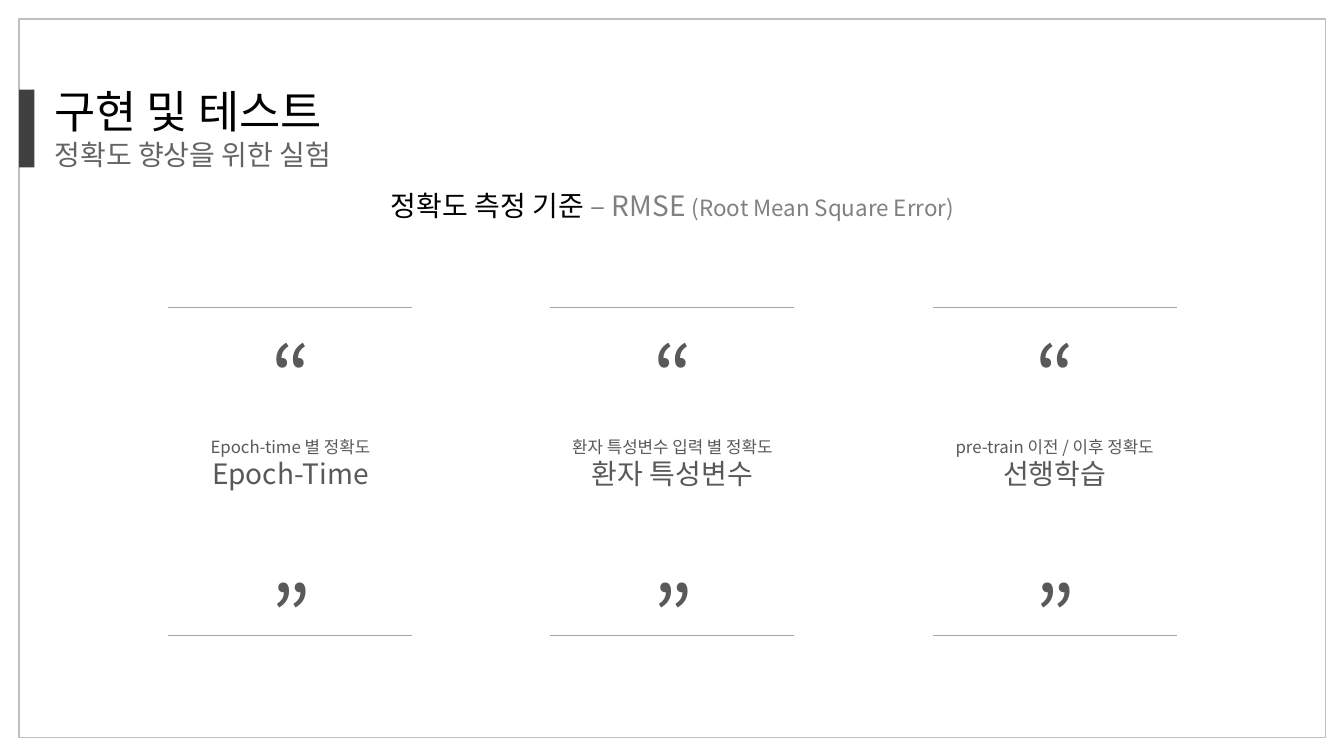
from pptx import Presentation
from pptx.dml.color import RGBColor
from pptx.enum.shapes import MSO_CONNECTOR, MSO_SHAPE
from pptx.enum.text import MSO_ANCHOR, MSO_AUTO_SIZE, PP_ALIGN
from pptx.oxml import parse_xml
from pptx.oxml.ns import nsdecls
from pptx.util import Inches, Pt
from lxml.etree import SubElement
from pptx.oxml.ns import qn

FONT = "Noto Sans CJK KR"
GREY = "595959"
CARDS = [
    ("Epoch-time 별 정확도", "Epoch-Time"),
    ("환자 특성변수 입력 별 정확도", "환자 특성변수"),
    ("pre-train 이전 / 이후 정확도", "선행학습"),
]


def color(code):
    return RGBColor.from_string(code)


def style(run, size, code, edge=None, alpha=30):
    """Set font and colour, with an optional sheer outline."""
    font = run.font
    font.size = Pt(size)
    font.name = FONT
    font.color.rgb = color(code)
    props = font._element
    SubElement(props, qn("a:ea")).set("typeface", FONT)
    if edge:
        props.insert(0, parse_xml(
            f'<a:ln {nsdecls("a")} w="9525"><a:solidFill><a:srgbClr val="{edge}">'
            f'<a:alpha val="{alpha * 1000}"/></a:srgbClr></a:solidFill></a:ln>'))


def place(shape, left, top, width, height):
    shape.left, shape.top = Inches(left), Inches(top)
    shape.width, shape.height = Inches(width), Inches(height)


def add_box(slide, left, top, width, height, text, align=PP_ALIGN.CENTER):
    box = slide.shapes.add_textbox(
        Inches(left), Inches(top), Inches(width), Inches(height))
    frame = box.text_frame
    frame.word_wrap = True
    frame.text = text
    for para in frame.paragraphs:
        para.alignment = align
    return frame


def add_rect(slide, left, top, width, height, fill=None, line=None):
    rect = slide.shapes.add_shape(
        MSO_SHAPE.RECTANGLE,
        Inches(left), Inches(top), Inches(width), Inches(height))
    rect.shadow.inherit = False
    if fill:
        rect.fill.solid()
        rect.fill.fore_color.rgb = color(fill)
    else:
        rect.fill.background()
    if line:
        rect.line.color.rgb = color(line)
        rect.line.width = Pt(1)
    else:
        rect.line.fill.background()


def add_rule(slide, left, top, width):
    rule = slide.shapes.add_connector(
        MSO_CONNECTOR.STRAIGHT,
        Inches(left), Inches(top), Inches(left + width), Inches(top))
    rule.line.color.rgb = color("A6A6A6")
    rule.line.width = Pt(0.75)
    SubElement(rule._element.spPr, qn("a:effectLst"))


def add_title(slide):
    title = slide.shapes.title
    place(title, 0.44, 0.78, 6.43, 0.98)
    frame = title.text_frame
    frame.text = "구현 및 테스트\n정확도 향상을 위한 실험"
    frame.auto_size = MSO_AUTO_SIZE.SHAPE_TO_FIT_TEXT
    frame.vertical_anchor = MSO_ANCHOR.TOP
    looks = [(32, "000000"), (20, "646464")]
    for para, (size, code) in zip(frame.paragraphs, looks):
        para.alignment = PP_ALIGN.LEFT
        style(para.runs[0], size, code, "000000", 50)


def add_metric(slide):
    frame = add_box(slide, 2.8, 1.82, 7.74, 0.44, "정확도 측정 기준 ")
    para = frame.paragraphs[0]
    style(para.runs[0], 20, "000000")
    for text, size in [("– RMSE ", 20), ("(Root Mean Square Error)", 16)]:
        run = para.add_run()
        run.text = text
        style(run, size, "808080", "000000", 50)


def add_card(slide, mid, note, name):
    for top, mark in [(3.17, "“"), (5.55, "”")]:
        frame = add_box(slide, mid - 0.29, top, 0.58, 0.62, mark)
        style(frame.paragraphs[0].runs[0], 60, GREY, GREY)
    for top in (3.05, 6.3):
        add_rule(slide, mid - 1.21, top, 2.42)
    frame = add_box(slide, mid - 1.31, 4.28, 2.62, 0.64, f"{note}\n{name}")
    for para, size in zip(frame.paragraphs, (12, 20)):
        style(para.runs[0], size, GREY, GREY)


def main():
    deck = Presentation()
    deck.slide_width, deck.slide_height = Inches(13.33), Inches(7.5)
    slide = deck.slides.add_slide(deck.slide_layouts[5])

    # Frame and heading
    add_rect(slide, 0.19, 0.19, 12.96, 7.13, line="BFBFBF")
    add_rect(slide, 0.19, 0.89, 0.15, 0.77, fill="404040")
    add_title(slide)
    add_metric(slide)

    # Three quoted tests
    for col, (note, name) in enumerate(CARDS):
        add_card(slide, 2.88 + 3.79 * col, note, name)

    deck.save("out.pptx")


if __name__ == "__main__":
    main()
